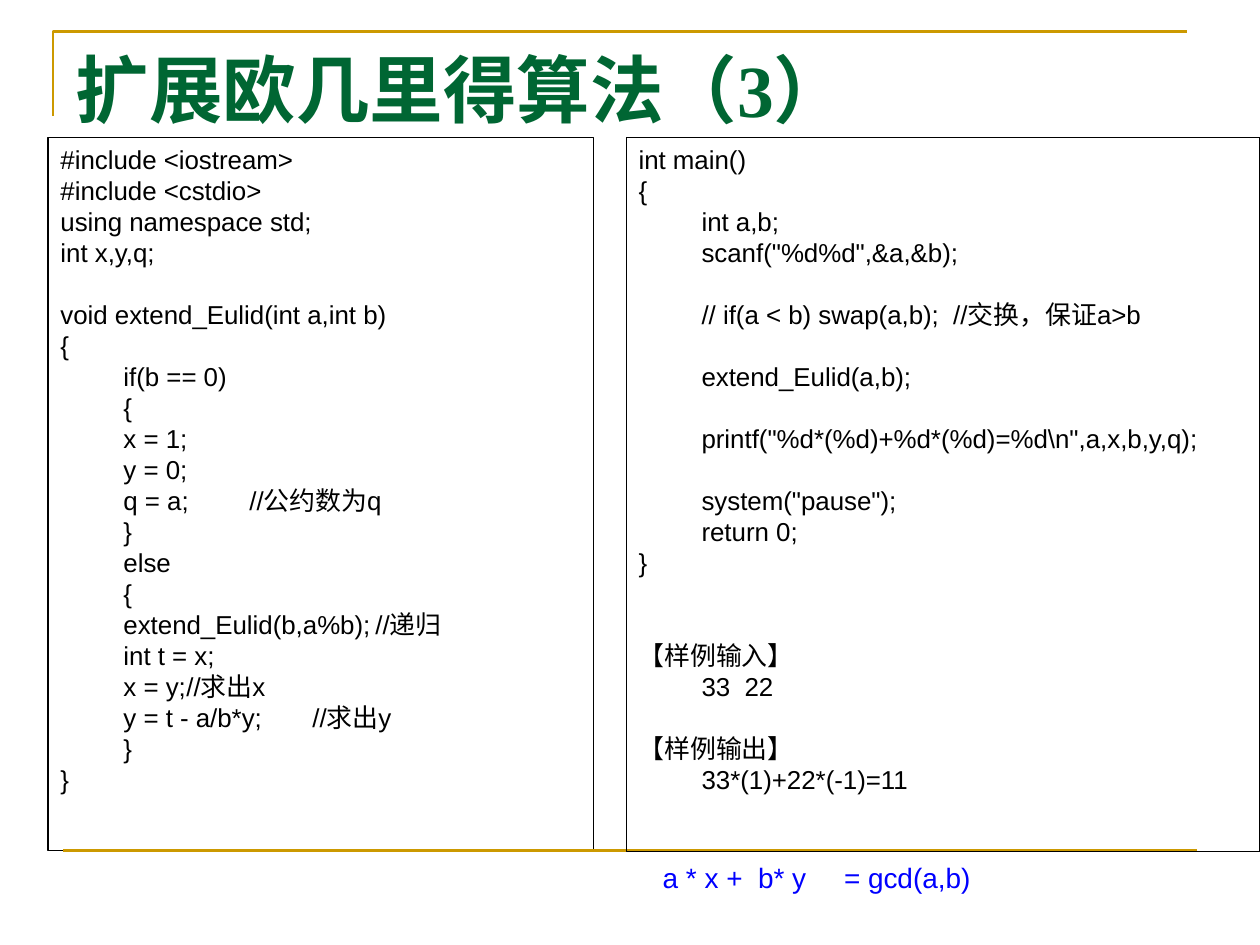
from collections import namedtuple

from lxml import etree
from pptx import Presentation
from pptx.dml.color import RGBColor
from pptx.enum import shapes, text
from pptx.oxml import ns
from pptx.util import Inches, Pt

GOLD = RGBColor(0xCC, 0x99, 0x00)
GREEN = RGBColor(0x00, 0x66, 0x33)
BLACK = RGBColor(0x00, 0x00, 0x00)
BLUE = RGBColor(0x00, 0x00, 0xFF)

CODE_SIZE = 14.8
LINE_HEIGHT = 17.73
BLOCK = 0.38
INNER = 0.6
ALIGNED = 0.57
SAMPLE = 0.11

Line = namedtuple("Line", "code indent comment comment_at blanks", defaults=(0, "", 0, 0))

FUNCTION_CODE = [
    Line("#include <iostream>"),
    Line("#include <cstdio>"),
    Line("using namespace std;"),
    Line("int x,y,q;"),
    Line("void extend_Eulid(int a,int b)", blanks=1),
    Line("{"),
    Line("if(b == 0)", BLOCK),
    Line("{", BLOCK),
    Line("x = 1;", INNER),
    Line("y = 0;", ALIGNED),
    Line("q = a;", ALIGNED, "//公约数为q", 2.45),
    Line("}", BLOCK),
    Line("else", BLOCK),
    Line("{", BLOCK),
    Line("extend_Eulid(b,a%b);", INNER, "//递归", 2.73),
    Line("int t = x;", INNER),
    Line("x = y;", INNER, "//求出x", 2.69),
    Line("y = t - a/b*y;", INNER, "//求出y", 2.67),
    Line("}", BLOCK),
    Line("}"),
]

MAIN_CODE = [
    Line("int main()"),
    Line("{"),
    Line("int a,b;", BLOCK),
    Line('scanf("%d%d",&a,&b);', BLOCK),
    Line("// if(a < b) swap(a,b);  //交换，保证a>b", BLOCK, blanks=1),
    Line("extend_Eulid(a,b);", BLOCK, blanks=1),
    Line(r'printf("%d*(%d)+%d*(%d)=%d\n",a,x,b,y,q);', BLOCK, blanks=1),
    Line('system("pause");', BLOCK, blanks=1),
    Line("return 0;", BLOCK),
    Line("}"),
    Line("【样例输入】", blanks=2),
    Line("33  22", SAMPLE),
    Line("【样例输出】", blanks=1),
    Line("33*(1)+22*(-1)=11", SAMPLE),
]


def place(shape, left, top, width, height):
    shape.left, shape.top = Inches(left), Inches(top)
    shape.width, shape.height = Inches(width), Inches(height)


def style_font(paragraph, name, size, color, bold=False):
    font = paragraph.font
    font.name, font.size, font.bold = name, Pt(size), bold
    font.color.rgb = color


def set_line(shape, color, width):
    shape.line.color.rgb = color
    shape.line.width = Pt(width)


def prepare_frame(shape):
    frame = shape.text_frame
    frame.word_wrap = True
    frame.auto_size = text.MSO_AUTO_SIZE.NONE
    frame.vertical_anchor = text.MSO_ANCHOR.TOP
    return frame


def set_tabs(paragraph, stops):
    properties = paragraph._p.get_or_add_pPr()
    properties.set("marL", "0")
    properties.set("indent", "0")
    etree.SubElement(properties, ns.qn("a:buNone"))
    tabs = etree.SubElement(properties, ns.qn("a:tabLst"))
    for stop in stops:
        etree.SubElement(tabs, ns.qn("a:tab"), pos=str(Inches(stop)), algn="l")


def write_code(shape, lines):
    shape.fill.background()
    set_line(shape, BLACK, 0.75)
    frame = prepare_frame(shape)
    for number, line in enumerate(lines):
        paragraph = frame.add_paragraph() if number else frame.paragraphs[0]
        paragraph.text = ("\t" if line.indent else "") + line.code
        if line.comment:
            paragraph.add_run().text = "\t" + line.comment
        set_tabs(paragraph, [stop for stop in (line.indent, line.comment_at) if stop])
        paragraph.alignment = text.PP_ALIGN.LEFT
        paragraph.line_spacing = Pt(LINE_HEIGHT)
        paragraph.space_before = Pt(line.blanks * LINE_HEIGHT)
        style_font(paragraph, "Arial", CODE_SIZE, BLACK)


def add_frame_lines(slide):
    builder = slide.shapes.build_freeform(Inches(0.42), Inches(0.92))
    builder.add_line_segments(
        [(Inches(0.42), Inches(0.25)), (Inches(9.42), Inches(0.25))], close=False
    )
    corner = builder.convert_to_shape()
    corner.shadow.inherit = False
    corner.fill.background()
    set_line(corner, GOLD, 1.5)

    footer = slide.shapes.add_connector(
        shapes.MSO_CONNECTOR.STRAIGHT, Inches(0.5), Inches(6.75), Inches(9.5), Inches(6.75)
    )
    set_line(footer, GOLD, 1.5)
    etree.SubElement(footer._element.spPr, ns.qn("a:effectLst"))


def write_title(title):
    place(title, 0.5, 0.3, 9, 1.25)
    paragraph = prepare_frame(title).paragraphs[0]
    paragraph.text = "扩展欧几里得算法（3）"
    paragraph.alignment = text.PP_ALIGN.LEFT
    style_font(paragraph, "Times New Roman", 42, GREEN, bold=True)


def add_main_panel(slide):
    panel = slide.shapes.add_shape(
        shapes.MSO_SHAPE.RECTANGLE, Inches(4.97), Inches(1.09), Inches(5.03), Inches(5.67)
    )
    panel.shadow.inherit = False
    write_code(panel, MAIN_CODE)


def add_formula(slide):
    box = slide.shapes.add_textbox(Inches(5.1), Inches(6.78), Inches(2.81), Inches(0.37))
    paragraph = prepare_frame(box).paragraphs[0]
    paragraph.text = " a * x +  b* y\t= gcd(a,b)"
    set_tabs(paragraph, [1.38])
    style_font(paragraph, "Arial", 16, BLUE)


def main():
    presentation = Presentation()
    presentation.slide_width, presentation.slide_height = Inches(10), Inches(7.5)
    slide = presentation.slides.add_slide(presentation.slide_layouts[1])
    add_frame_lines(slide)
    write_title(slide.shapes.title)
    function_panel = slide.placeholders[1]
    place(function_panel, 0.38, 1.09, 4.33, 5.66)
    write_code(function_panel, FUNCTION_CODE)
    add_main_panel(slide)
    add_formula(slide)
    presentation.save("out.pptx")


if __name__ == "__main__":
    main()
